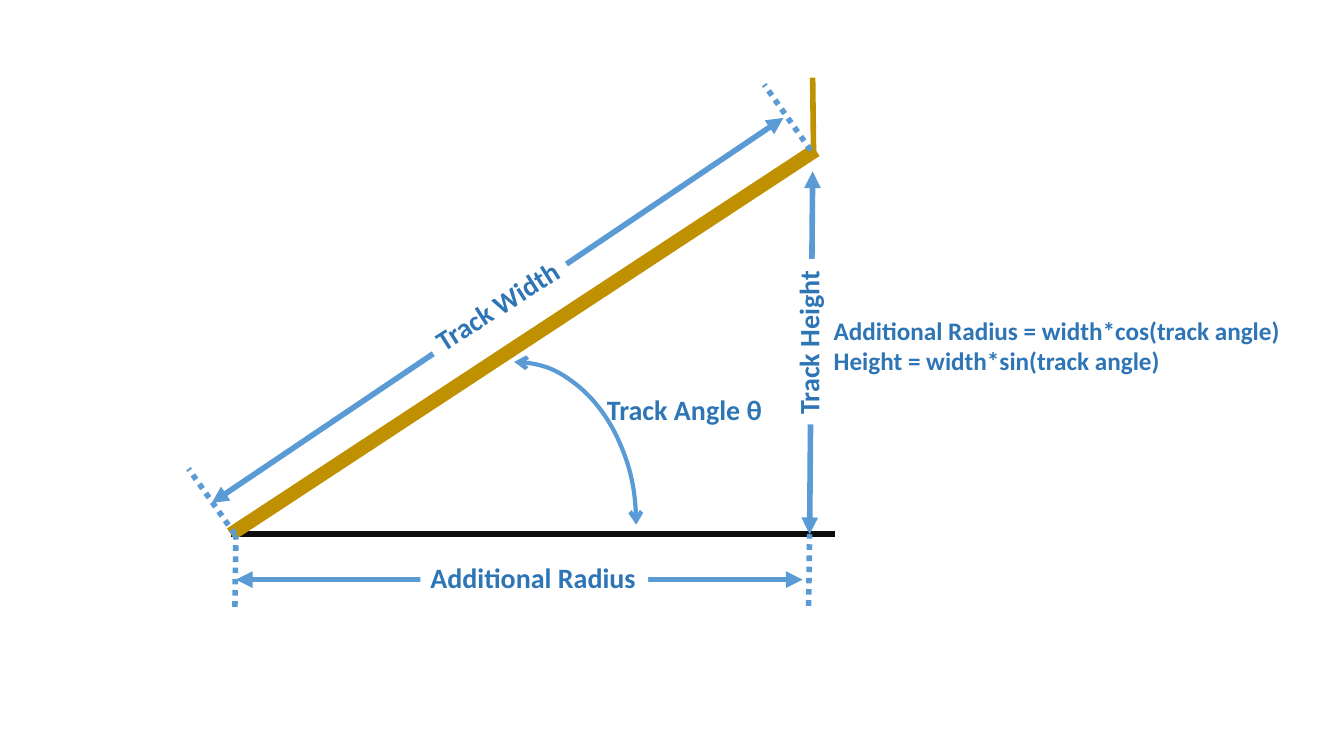
from lxml import etree
from pptx import Presentation
from pptx.dml.color import RGBColor
from pptx.enum.dml import MSO_LINE
from pptx.enum.shapes import MSO_CONNECTOR, MSO_SHAPE
from pptx.enum.text import MSO_AUTO_SIZE
from pptx.oxml.ns import qn
from pptx.util import Inches, Pt

STRAIGHT = MSO_CONNECTOR.STRAIGHT
ARC = MSO_SHAPE.ARC
DOTTED = MSO_LINE.ROUND_DOT
GROW = MSO_AUTO_SIZE.SHAPE_TO_FIT_TEXT

BLACK = RGBColor(0x0D, 0x0D, 0x0D)
GOLD = RGBColor(0xBF, 0x90, 0x00)
BLUE = RGBColor(0x5B, 0x9B, 0xD5)
TEXT_BLUE = RGBColor(0x2E, 0x75, 0xB6)
WHITE = RGBColor(0xFF, 0xFF, 0xFF)


def format_line(shape, color, width, dash=None, arrow=None):
    shape.line.color.rgb = color
    shape.line.width = Pt(width)
    if dash:
        shape.line.dash_style = dash
    if arrow:
        outline = shape.line._get_or_add_ln()
        for end in ("a:headEnd", "a:tailEnd"):
            etree.SubElement(outline, qn(end), type=arrow)


def add_line(page, start, end, color=BLUE, width=4, dash=None, arrow=None):
    points = [Inches(value) for value in (*start, *end)]
    line = page.shapes.add_connector(STRAIGHT, *points)
    format_line(line, color, width, dash, arrow)
    etree.SubElement(line._element.spPr, qn("a:effectLst"))


def add_angle_arc(page, left, top, width, height):
    arc = page.shapes.add_shape(
        ARC, Inches(left), Inches(top), Inches(width), Inches(height))
    arc.shadow.inherit = False
    arc.fill.background()
    format_line(arc, BLUE, 3, arrow="arrow")


def add_text(page, text, left, top, width, height=0.44, size=20,
             rotation=0, fill=None):
    box = page.shapes.add_textbox(
        Inches(left), Inches(top), Inches(width), Inches(height))
    box.rotation = rotation
    if fill:
        box.fill.solid()
        box.fill.fore_color.rgb = fill
    frame = box.text_frame
    frame.word_wrap = False
    frame.auto_size = GROW
    frame.text = text
    for para in frame.paragraphs:
        for span in para.runs:
            span.font.name = "Calibri"
            span.font.size = Pt(size)
            span.font.bold = True
            span.font.color.rgb = TEXT_BLUE


def main():
    deck = Presentation()
    deck.slide_width = Inches(13.33)
    deck.slide_height = Inches(7.5)
    page = deck.slides.add_slide(deck.slide_layouts[6])

    add_line(page, (2.29, 5.3), (8.28, 5.3), BLACK)
    add_line(page, (2.29, 5.3), (8.09, 1.49), GOLD, width=10)
    add_angle_arc(page, 3.89, 3.59, 2.42, 3.23)
    add_text(page, "Track Angle θ", 5.92, 3.84, 1.75)

    add_line(page, (2.1, 4.99), (7.77, 1.17), arrow="triangle")
    add_text(page, "Track Width", 4.14, 2.81, 1.59, rotation=327.4, fill=WHITE)
    add_line(page, (8.03, 5.3), (8.06, 1.7), arrow="triangle")
    add_text(page, "Track Height", 7.2, 3.17, 1.64, rotation=270, fill=WHITE)
    add_line(page, (8.07, 1.57), (8.06, 0.77), GOLD)

    for start, end in (
        ((8.04, 1.49), (7.58, 0.84)),
        ((2.33, 5.3), (1.87, 4.65)),
        ((2.33, 6.02), (2.34, 5.31)),
        ((8.02, 6.01), (8.03, 5.3)),
    ):
        add_line(page, start, end, dash=DOTTED)

    add_line(page, (2.34, 5.75), (7.96, 5.75), arrow="triangle")
    add_text(page, "Additional Radius", 4.17, 5.51, 2.26, fill=WHITE)
    add_text(page, "Additional Radius = width*cos(track angle)\n"
             "Height = width*sin(track angle)",
             8.17, 3.08, 4.66, height=0.71, size=18)

    deck.save("out.pptx")


if __name__ == "__main__":
    main()
